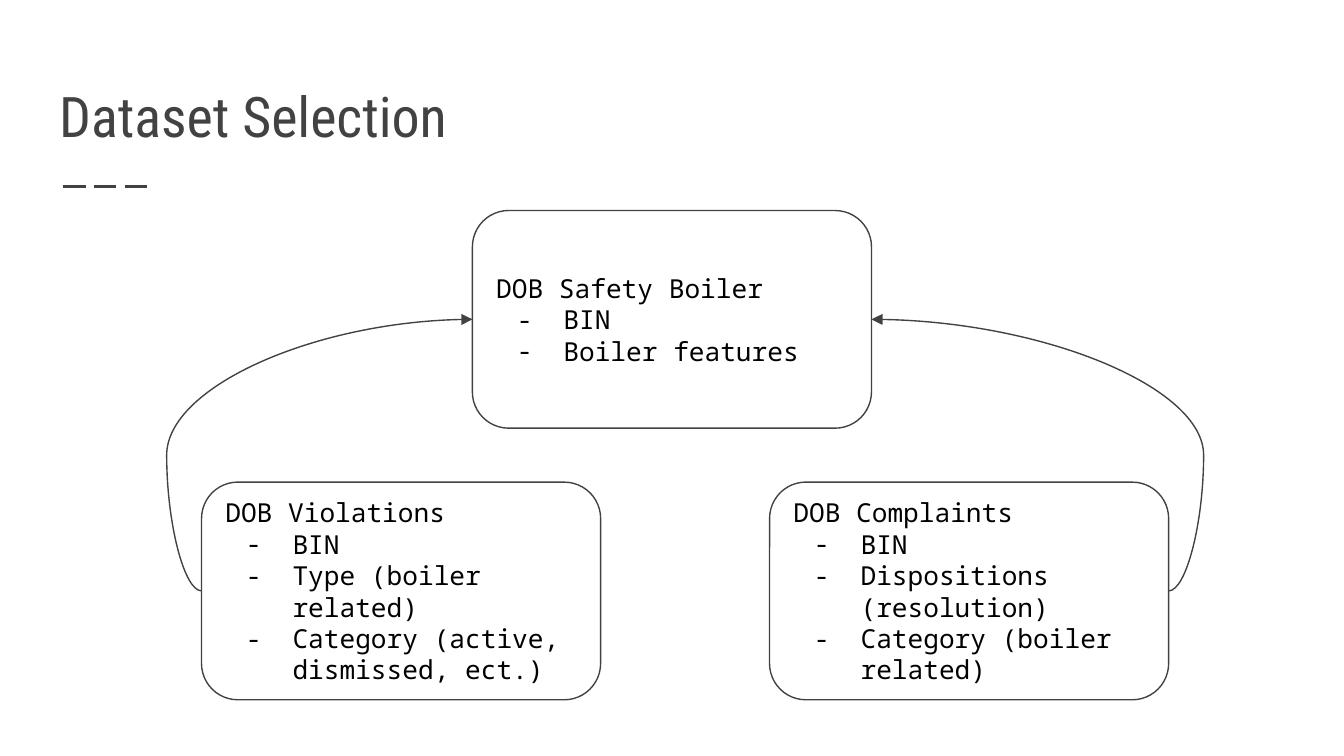
from dataclasses import dataclass

from lxml.etree import SubElement
from pptx import Presentation
from pptx.dml.color import RGBColor
from pptx.enum.dml import MSO_LINE
from pptx.enum.shapes import MSO_CONNECTOR, MSO_SHAPE
from pptx.enum.text import MSO_ANCHOR, MSO_AUTO_SIZE, PP_ALIGN
from pptx.oxml.ns import qn
from pptx.shapes.autoshape import Shape
from pptx.shapes.connector import Connector
from pptx.slide import Slide
from pptx.util import Pt


@dataclass(frozen=True)
class Theme:
    dark: RGBColor = RGBColor(0x42, 0x42, 0x42)
    text: RGBColor = RGBColor(0, 0, 0)
    title_font: str = "Roboto Condensed"
    body_font: str = "Noto Sans Mono"
    title_size: float = 30
    body_size: float = 14
    outline: float = 0.75
    rule: float = 1.5
    inset: float = 7.2


@dataclass(frozen=True)
class Dataset:
    name: str
    fields: tuple[str, ...]
    left: float
    top: float


THEME = Theme()
BOX_W, BOX_H = 213.8, 116.6
LEFT_SIDE, RIGHT_SIDE = 1, 3
BULGE = 18.75  # how far a curve swings out beyond its starting box

BOILER = Dataset("DOB Safety Boiler", ("BIN", "Boiler features"), 253.1, 112.8)
VIOLATIONS = Dataset(
    "DOB Violations",
    ("BIN", "Type (boiler related)", "Category (active, dismissed, ect.)"),
    108, 258.3,
)
COMPLAINTS = Dataset(
    "DOB Complaints",
    ("BIN", "Dispositions (resolution)", "Category (boiler related)"),
    412.3, 258.3,
)


def set_frame(sp: Shape, anchor: MSO_ANCHOR) -> None:
    tf = sp.text_frame
    tf.word_wrap = True
    tf.auto_size = MSO_AUTO_SIZE.NONE
    tf.vertical_anchor = anchor
    tf.margin_left = tf.margin_right = Pt(THEME.inset)
    tf.margin_top = tf.margin_bottom = Pt(THEME.inset)


def add_title(slide: Slide, text: str) -> None:
    sp = slide.shapes.title
    sp.left, sp.top, sp.width, sp.height = Pt(24.5), Pt(29.5), Pt(671), Pt(57.6)
    set_frame(sp, MSO_ANCHOR.BOTTOM)
    p = sp.text_frame.paragraphs[0]
    p.text = text
    p.alignment = PP_ALIGN.LEFT
    p.font.name = THEME.title_font
    p.font.size = Pt(THEME.title_size)
    p.font.color.rgb = THEME.dark


def style_line(cxn: Connector, width: float) -> None:
    cxn.line.color.rgb = THEME.dark
    cxn.line.width = Pt(width)
    SubElement(cxn._element.spPr, qn("a:effectLst"))


def add_rule(slide: Slide) -> None:
    cxn = slide.shapes.add_connector(
        MSO_CONNECTOR.STRAIGHT, Pt(33.8), Pt(100.1), Pt(82.1), Pt(100.1))
    style_line(cxn, THEME.rule)
    cxn.line.dash_style = MSO_LINE.LONG_DASH


def add_dataset(slide: Slide, data: Dataset) -> Shape:
    sp = slide.shapes.add_shape(
        MSO_SHAPE.ROUNDED_RECTANGLE, Pt(data.left), Pt(data.top), Pt(BOX_W), Pt(BOX_H))
    sp.shadow.inherit = False
    sp.fill.background()
    sp.line.color.rgb = THEME.dark
    sp.line.width = Pt(THEME.outline)
    set_frame(sp, MSO_ANCHOR.MIDDLE)
    tf = sp.text_frame
    for i, text in enumerate((data.name, *data.fields)):
        p = tf.add_paragraph() if i else tf.paragraphs[0]
        p.text = text
        p.alignment = PP_ALIGN.LEFT
        p.font.name = THEME.body_font
        p.font.size = Pt(THEME.body_size)
        p.font.color.rgb = THEME.text
        if i:
            add_dash_bullet(p._p.get_or_add_pPr())
    return sp


def add_dash_bullet(p_pr) -> None:
    """Give a paragraph a hanging dash; bullet elements precede defRPr."""
    p_pr.set("marL", str(Pt(36)))
    p_pr.set("indent", str(-Pt(25)))
    font = SubElement(p_pr, qn("a:buFont"), typeface=THEME.body_font)
    char = SubElement(p_pr, qn("a:buChar"), char="-")
    run_defaults = p_pr.find(qn("a:defRPr"))
    if run_defaults is not None:
        run_defaults.addprevious(font)
        run_defaults.addprevious(char)


def add_curve(slide: Slide, start: Shape, end: Shape, side: int) -> None:
    """Join the same side of two boxes with an arrow that swings outwards."""
    cxn = slide.shapes.add_connector(MSO_CONNECTOR.CURVE, 0, 0, 0, 0)
    cxn.begin_connect(start, side)
    cxn.end_connect(end, side)
    style_line(cxn, THEME.outline)
    SubElement(cxn.line._get_or_add_ln(), qn("a:tailEnd"), type="triangle")
    bend = round(-Pt(BULGE) / cxn.width * 100000)
    guides = cxn._element.spPr.find(qn("a:prstGeom")).find(qn("a:avLst"))
    SubElement(guides, qn("a:gd"), name="adj1", fmla=f"val {bend}")


def main() -> None:
    prs = Presentation()
    prs.slide_width, prs.slide_height = Pt(720), Pt(405)
    slide = prs.slides.add_slide(prs.slide_layouts[5])
    add_rule(slide)
    add_title(slide, "Dataset Selection")
    boiler, violations, complaints = (
        add_dataset(slide, data) for data in (BOILER, VIOLATIONS, COMPLAINTS))
    add_curve(slide, violations, boiler, LEFT_SIDE)
    add_curve(slide, complaints, boiler, RIGHT_SIDE)
    prs.save("out.pptx")


if __name__ == "__main__":
    main()
